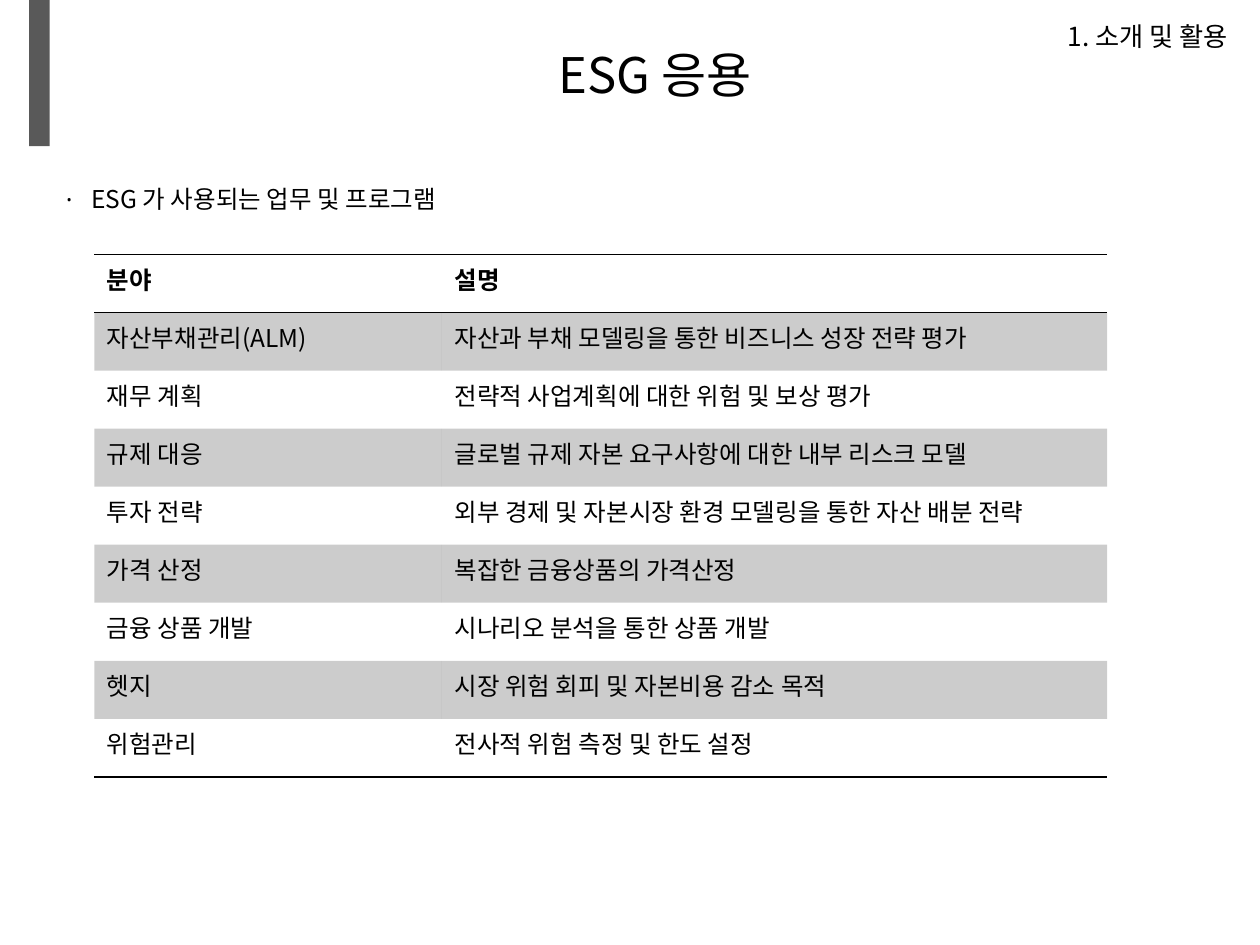
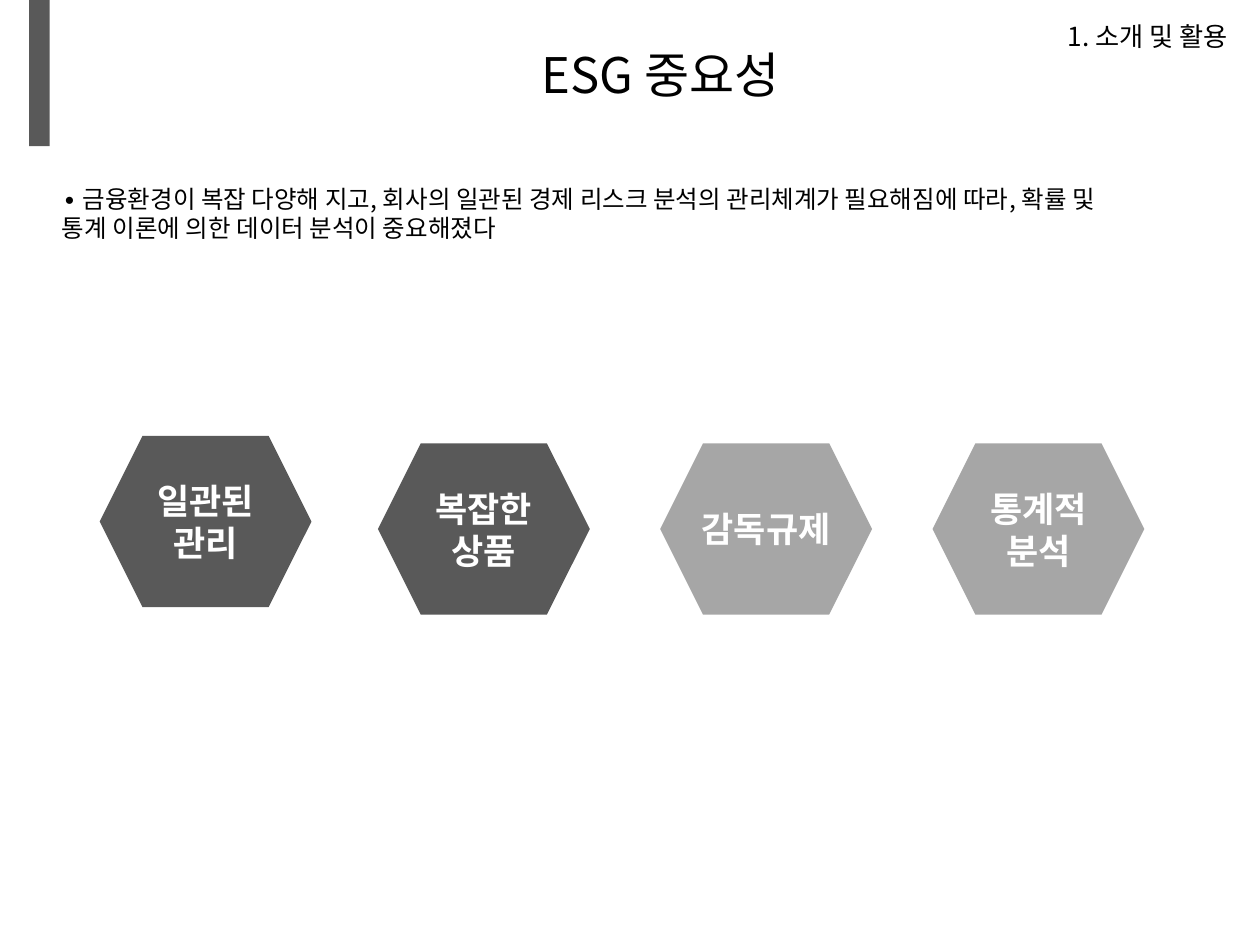
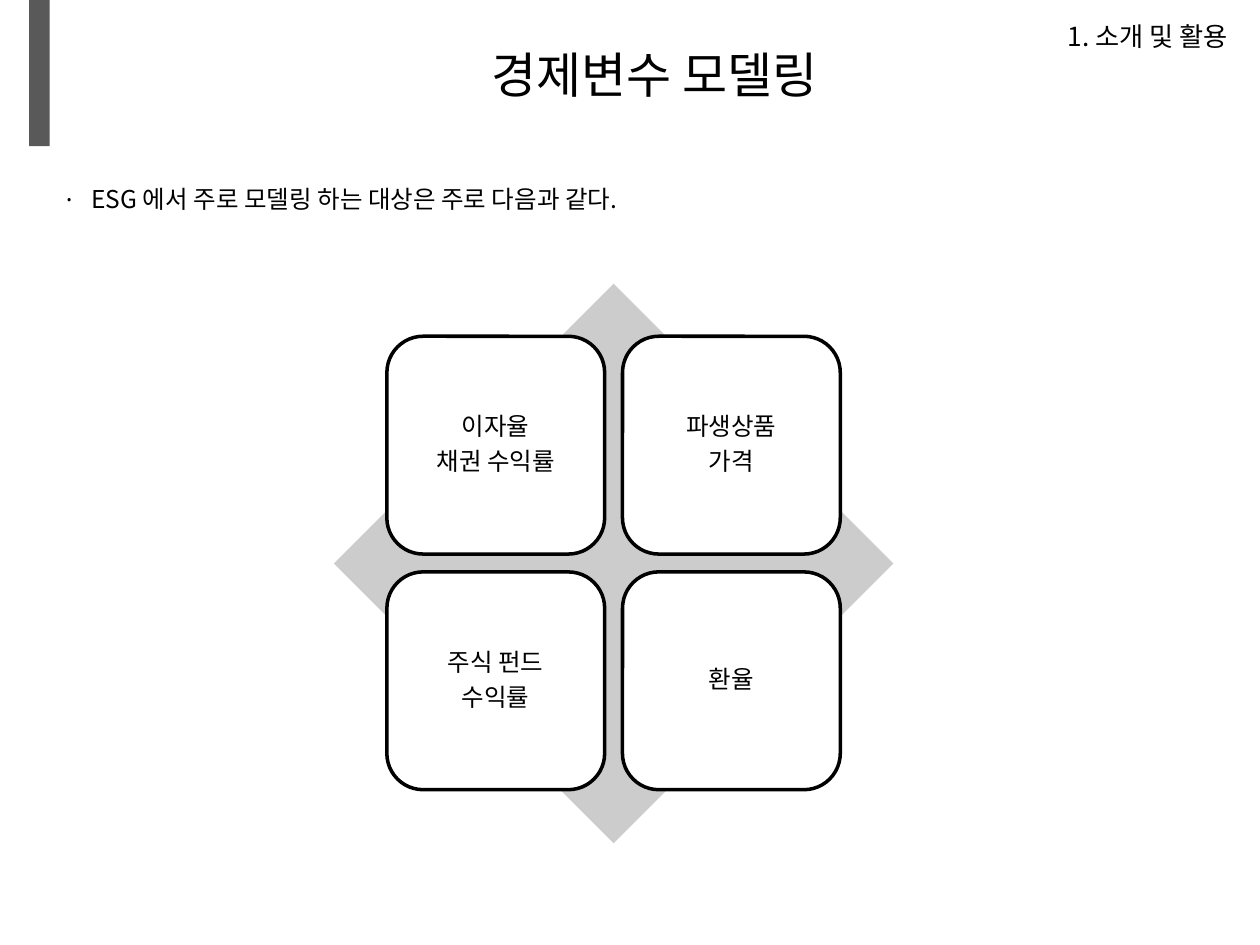
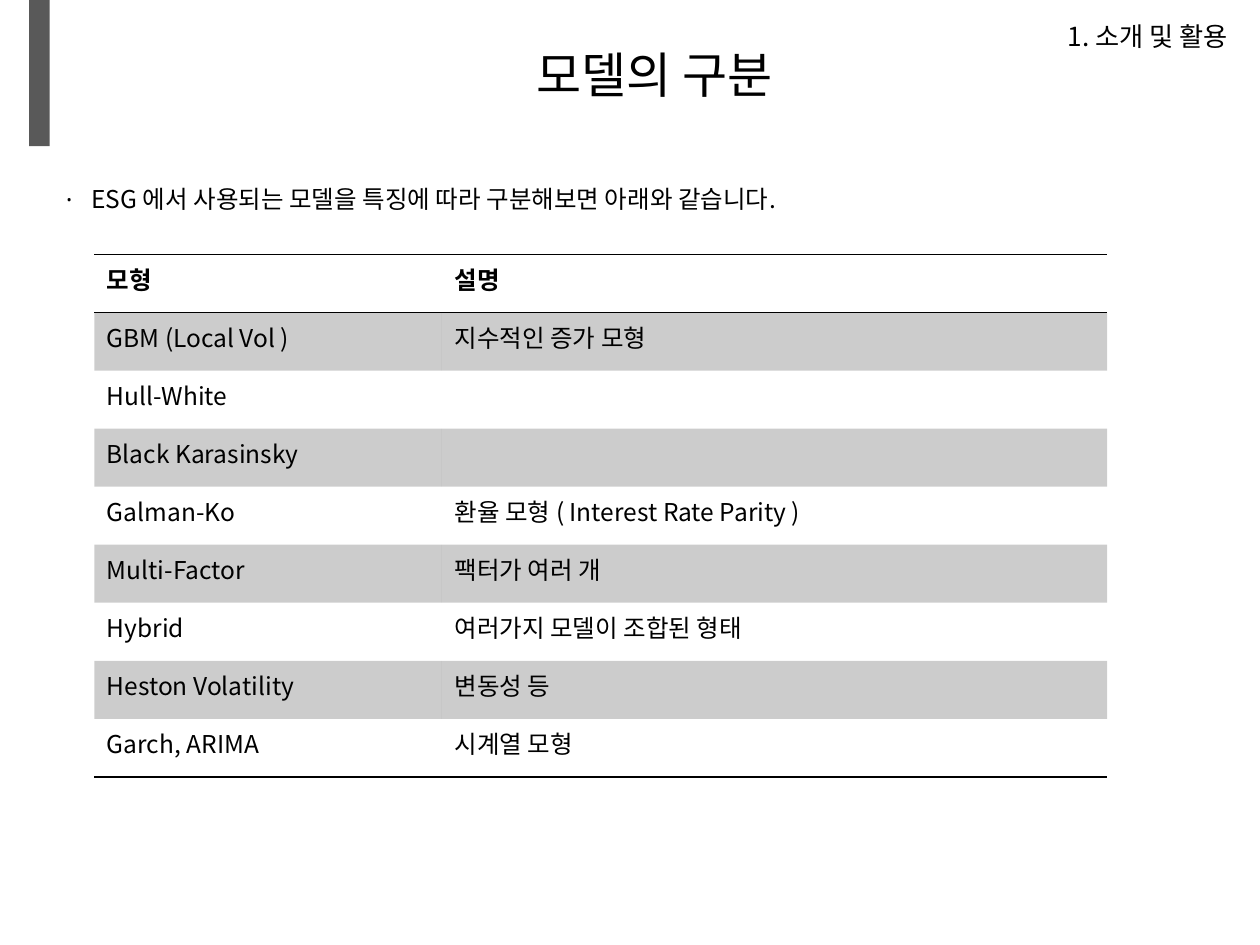
"""Build four slides on the uses, importance and models of an ESG."""
from lxml import etree
from pptx import Presentation
from pptx.dml.color import RGBColor
from pptx.enum.shapes import MSO_SHAPE
from pptx.enum.text import MSO_ANCHOR, MSO_AUTO_SIZE, PP_ALIGN
from pptx.oxml import parse_xml
from pptx.oxml.ns import nsdecls, qn
from pptx.util import Cm, Pt

LEFT, CENTER, RIGHT = PP_ALIGN.LEFT, PP_ALIGN.CENTER, PP_ALIGN.RIGHT
TOP, MIDDLE = MSO_ANCHOR.TOP, MSO_ANCHOR.MIDDLE
GROW = MSO_AUTO_SIZE.SHAPE_TO_FIT_TEXT
RECT, HEXAGON = MSO_SHAPE.RECTANGLE, MSO_SHAPE.HEXAGON
DIAMOND, ROUNDED = MSO_SHAPE.DIAMOND, MSO_SHAPE.ROUNDED_RECTANGLE

COLORS = {"black": "000000", "white": "FFFFFF", "dark": "595959",
          "mid": "A6A6A6", "light": "CCCCCC"}
KOREAN, MONO, DISPLAY = "Noto Sans CJK KR", "Noto Sans Mono", "Montserrat"
NO_STYLE = "{2D5ABB26-0587-4C30-8999-92F81FD0307C}"
SECTION = "1. 소개 및 활용"

PAGES = [
    ("ESG 응용", 0.86, ["ESG 가 사용되는 업무 및 프로그램"]),
    (" ESG 중요성", 2.06, [
        "금융환경이 복잡 다양해 지고, 회사의 일관된 경제 리스크 분석의 관리체계가 필요해짐에 따라, 확률 및",
        "통계 이론에 의한 데이터 분석이 중요해졌다"]),
    ("경제변수 모델링", 2.06, ["ESG 에서 주로 모델링 하는 대상은 주로 다음과 같다."]),
    ("모델의 구분", 0.86, ["ESG 에서 사용되는 모델을 특징에 따라 구분해보면 아래와 같습니다."]),
]
USES = [
    ("분야", "설명"),
    ("자산부채관리(ALM)", "자산과 부채 모델링을 통한 비즈니스 성장 전략 평가"),
    ("재무 계획", "전략적 사업계획에 대한 위험 및 보상 평가"),
    ("규제 대응", "글로벌 규제 자본 요구사항에 대한 내부 리스크 모델"),
    ("투자 전략", "외부 경제 및 자본시장 환경 모델링을 통한 자산 배분 전략"),
    ("가격 산정", "복잡한 금융상품의 가격산정"),
    ("금융 상품 개발", "시나리오 분석을 통한 상품 개발"),
    ("헷지", "시장 위험 회피 및 자본비용 감소 목적"),
    ("위험관리", "전사적 위험 측정 및 한도 설정"),
]
MODELS = [
    ("모형", "설명"),
    ("GBM (Local Vol )", "지수적인 증가 모형"),
    ("Hull-White", ""),
    ("Black Karasinsky", ""),
    ("Galman-Ko", "환율 모형 ( Interest Rate Parity )"),
    ("Multi-Factor", "팩터가 여러 개"),
    ("Hybrid", "여러가지 모델이 조합된 형태"),
    ("Heston Volatility", "변동성 등"),
    ("Garch, ARIMA", "시계열 모형"),
]
REASONS = [
    (2.01, 8.79, "dark", ["일관된", "관리"]),
    (7.62, 8.94, "dark", ["복잡한", "상품"]),
    (13.31, 8.94, "mid", ["감독규제"]),
    (18.8, 8.94, "mid", ["통계적", "분석"]),
]
VARIABLES = [["이자율", "채권 수익률"], ["파생상품", "가격"],
             ["주식 펀드", "수익률"], ["환율"]]


def write(tf, lines, size, align=LEFT, anchor=TOP, font=KOREAN, color="black", bold=False):
    """Write each line, a list of (text, font) or a plain string, as a paragraph."""
    tf.word_wrap = True
    tf.vertical_anchor = anchor
    for i, line in enumerate(lines):
        p = tf.add_paragraph() if i else tf.paragraphs[0]
        p.alignment = align
        for text, face in [(line, font)] if isinstance(line, str) else line:
            r = p.add_run()
            r.text = text
            r.font.size, r.font.name, r.font.bold = Pt(size), face, bold
            r.font.color.rgb = RGBColor.from_string(COLORS[color])
            etree.SubElement(r.font._element, qn("a:ea"), typeface=KOREAN)


def add_shape(s, kind, x, y, w, h, fill, line=None):
    """Add a flat preset shape, measured in centimetres."""
    sp = s.shapes.add_shape(kind, Cm(x), Cm(y), Cm(w), Cm(h))
    sp.shadow.inherit = False
    sp.fill.solid()
    sp.fill.fore_color.rgb = RGBColor.from_string(COLORS[fill])
    if line:
        sp.line.color.rgb = RGBColor.from_string(COLORS[line])
        sp.line.width = Pt(2)
    else:
        sp.line.fill.background()
    return sp


prs = Presentation()
prs.slide_width, prs.slide_height = Cm(25.4), Cm(19.05)

slides = []
for title, height, lines in PAGES:
    s = prs.slides.add_slide(prs.slide_layouts[6])
    slides.append(s)
    sp = s.shapes.add_textbox(Cm(1), 0, Cm(24.4), Cm(2.97))
    write(sp.text_frame, [title], 28, CENTER, MIDDLE)
    sp = s.shapes.add_textbox(Cm(1), Cm(3.58), Cm(24), Cm(height))
    write(sp.text_frame, [[("∙ ", MONO), (lines[0], KOREAN)]] + lines[1:], 14)
    sp.text_frame.auto_size = GROW
    sp = s.shapes.add_textbox(Cm(13.5), 0, Cm(11.5), Cm(1.45))
    write(sp.text_frame, [SECTION], 15, RIGHT, MIDDLE)

bar = add_shape(slides[0], RECT, 0.59, -0.02, 0.41, 2.97, "dark")
bar._element.nvSpPr.cNvPr.set("id", "99")
prs.slide_master.shapes._spTree.append(bar._element)

for s, rows in ((slides[0], USES), (slides[3], MODELS)):
    table = s.shapes.add_table(len(rows), 2, Cm(1.9), Cm(5.13),
                               Cm(20.42), Cm(1.17 * len(rows))).table
    table._tbl.tblPr[0].text = NO_STYLE
    table.horz_banding = False
    table.columns[0].width, table.columns[1].width = Cm(7.01), Cm(13.41)
    for i, row in enumerate(rows):
        edges = ["lnT", "lnB"] if i == 0 else ["lnB"] if i == len(rows) - 1 else []
        for j, text in enumerate(row):
            cell = table.cell(i, j)
            if text:
                write(cell.text_frame, [text], 14, bold=i == 0)
            if i % 2:
                cell.fill.solid()
                cell.fill.fore_color.rgb = RGBColor.from_string(COLORS["black"])
                rgb = cell._tc.tcPr.find(".//" + qn("a:srgbClr"))
                etree.SubElement(rgb, qn("a:alpha"), val="20000")
            else:
                cell.fill.background()
            for k, edge in enumerate(edges):
                cell._tc.tcPr.insert(k, parse_xml(
                    f'<a:{edge} {nsdecls("a")} w="12700"><a:solidFill>'
                    f'<a:srgbClr val="{COLORS["black"]}"/></a:solidFill></a:{edge}>'))

for x, y, fill, lines in REASONS:
    sp = add_shape(slides[1], HEXAGON, x, y, 4.27, 3.45, fill)
    tf = sp.text_frame
    tf.margin_left = tf.margin_right = tf.margin_top = tf.margin_bottom = 0
    write(tf, lines, 20, CENTER, MIDDLE, DISPLAY, "white", True)

add_shape(slides[2], DIAMOND, 6.73, 5.72, 11.28, 11.28, "light")
for i, lines in enumerate(VARIABLES):
    x, y = 7.8 + i % 2 * 4.75, 6.78 + i // 2 * 4.75
    sp = add_shape(slides[2], ROUNDED, x, y, 4.39, 4.39, "white", "black")
    tf = sp.text_frame
    tf.margin_left = tf.margin_right = tf.margin_top = tf.margin_bottom = Cm(0.15)
    write(tf, lines, 14, CENTER, MIDDLE)
    for p in tf.paragraphs:
        p.line_spacing, p.space_after = 0.9, Pt(5)

prs.save("out.pptx")
